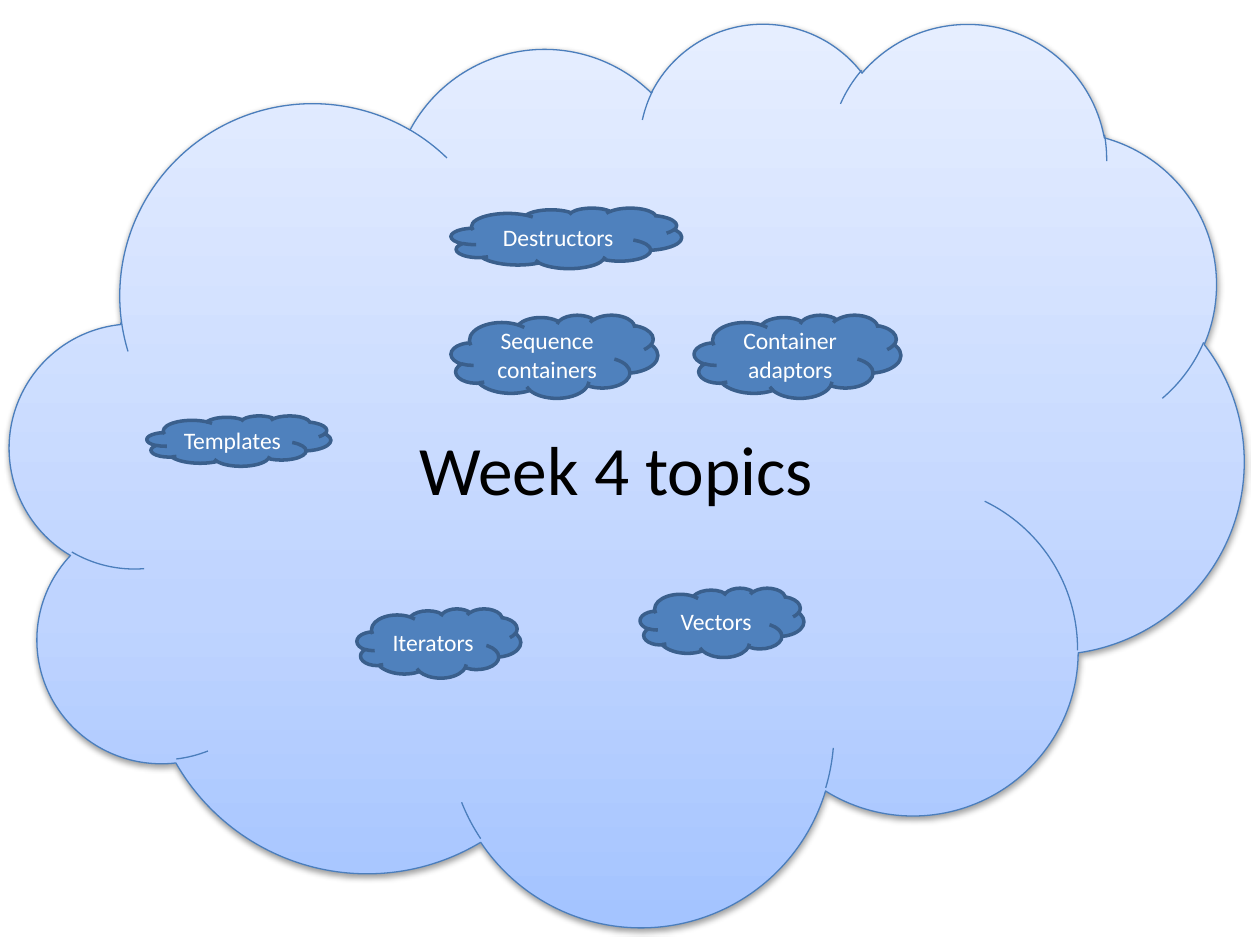
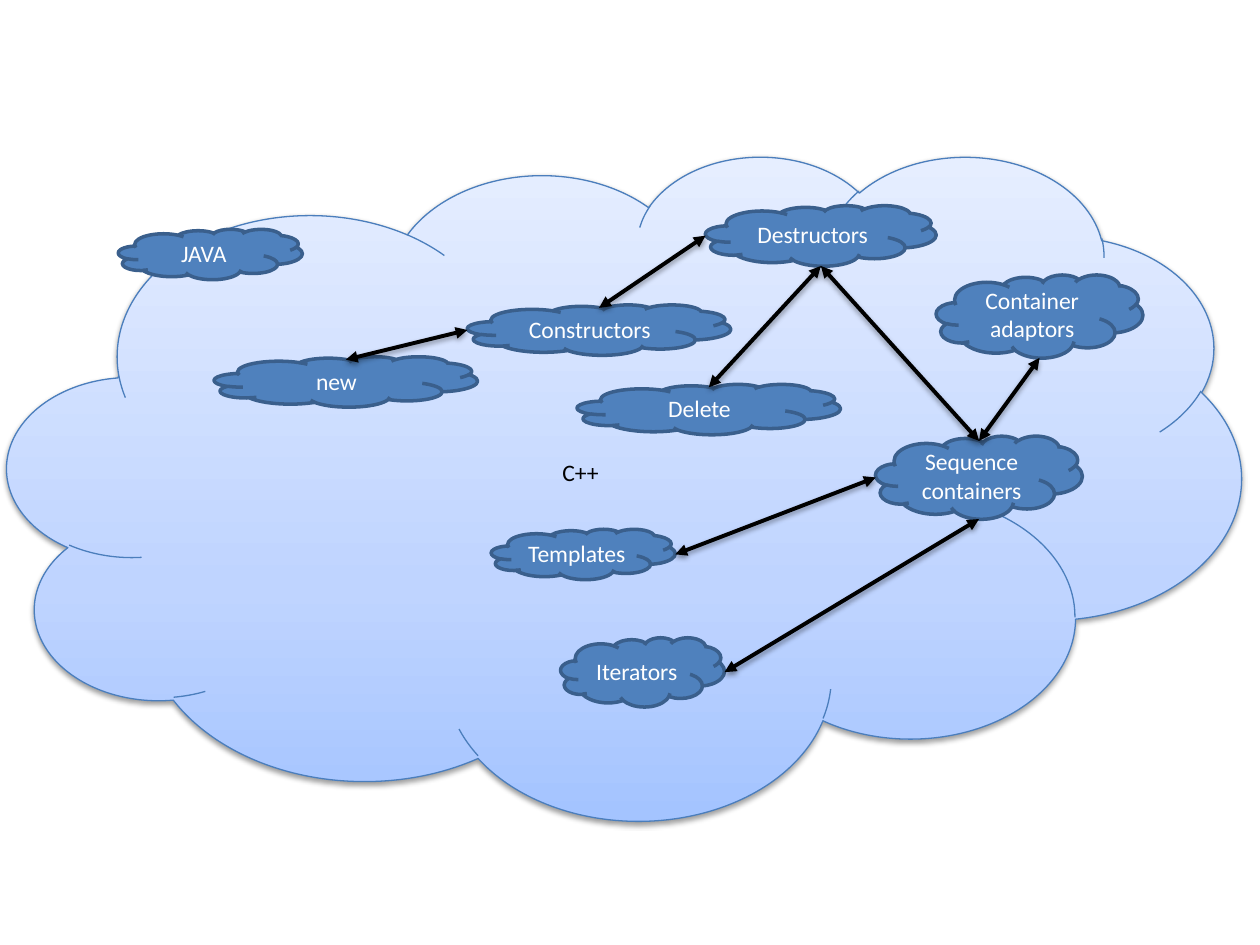
"""Build two C++ topic maps: the week's topics and the links between them."""
from copy import deepcopy

from lxml.etree import SubElement
from pptx import Presentation
from pptx.dml.color import RGBColor
from pptx.enum.shapes import MSO_CONNECTOR, MSO_SHAPE
from pptx.enum.text import MSO_ANCHOR, PP_ALIGN
from pptx.oxml.ns import qn
from pptx.util import Pt

FONT = "Calibri"
WHITE, BLACK = "FFFFFF", "000000"
TOPIC_FILL, TOPIC_EDGE, SKY_EDGE = "4F81BD", "3A5F8C", "4B7EBC"
SKY_STOPS = [(0, "A4C4FF"), (0.35, "BFD4FF"), (1, "E6EEFF")]

TOPIC_SIZES = {
    "Destructors": (131.8, 34.6),
    "Sequence containers": (118.1, 47.5),
    "Container\nadaptors": (118.1, 47.5),
    "Templates": (105.1, 28.8),
    "JAVA": (105.1, 28.8),
    "Iterators": (93.6, 39.6),
    "Vectors": (93.6, 39.6),
    "Constructors": (150.5, 28.8),
    "Delete": (150.5, 28.8),
    "new": (150.5, 28.8),
}
SIDES = {"left": (0, 0.5), "right": (1, 0.5), "top": (0.5, 0.06), "bottom": (0.5, 1)}

SLIDES = [
    {
        "sky": (5.8, 12.2, 704.9, 516.2),
        "theme": "",
        "title": "Week 4 topics",
        "topics": {
            "Destructors": (257.8, 118.8),
            "Sequence containers": (257.8, 180),
            "Templates": (84, 237.6),
            "Iterators": (204, 347.8),
            "Container\nadaptors": (396.7, 180),
            "Vectors": (365.8, 336),
        },
        "links": [],
    },
    {
        "sky": (4.3, 88.6, 704.9, 379.4),
        "theme": "C++",
        "title": "",
        "topics": {
            "Destructors": (403.2, 117.4),
            "Sequence containers": (500.4, 249.1),
            "Templates": (280.8, 302.4),
            "Iterators": (320.4, 364.3),
            "JAVA": (67.7, 131),
            "Constructors": (267.1, 174.2),
            "Delete": (329.8, 219.6),
            "new": (122.4, 203.8),
            "Container\nadaptors": (535, 157),
        },
        "links": [
            ("Templates", "right", "Sequence containers", "left"),
            ("Destructors", "bottom", "Sequence containers", "top"),
            ("Sequence containers", "bottom", "Iterators", "right"),
            ("Destructors", "left", "Constructors", "top"),
            ("Destructors", "bottom", "Delete", "top"),
            ("Constructors", "left", "new", "top"),
            ("Container\nadaptors", "bottom", "Sequence containers", "top"),
        ],
    },
]


def write(shape, text, size=13.5, color=WHITE):
    """Set centred text in a shape."""
    frame = shape.text_frame
    frame.text = text
    frame.word_wrap = True
    frame.vertical_anchor = MSO_ANCHOR.MIDDLE
    frame.margin_left = frame.margin_right = Pt(5.4)
    frame.margin_top = frame.margin_bottom = Pt(2.7)
    for paragraph in frame.paragraphs:
        paragraph.alignment = PP_ALIGN.CENTER
        paragraph.font.name = FONT
        paragraph.font.size = Pt(size)
        paragraph.font.color.rgb = RGBColor.from_string(color)


def cast_shadow(shape):
    """Give a shape a soft shadow straight below it."""
    effects = SubElement(shape._element.spPr, qn("a:effectLst"))
    shadow = SubElement(effects, qn("a:outerShdw"), blurRad=str(Pt(3.1)), dist=str(Pt(1.6)),
                        dir="5400000", rotWithShape="0")
    shade = SubElement(shadow, qn("a:srgbClr"), val=BLACK)
    SubElement(shade, qn("a:alpha"), val="38000")


deck = Presentation()
deck.slide_width, deck.slide_height = Pt(720), Pt(540)

for content in SLIDES:
    slide = deck.slides.add_slide(deck.slide_layouts[6])

    sky = slide.shapes.add_shape(MSO_SHAPE.CLOUD, *map(Pt, content["sky"]))
    sky.fill.gradient()
    sky.fill.gradient_angle = 90
    stop_list = sky._element.spPr.find(qn("a:gradFill")).find(qn("a:gsLst"))
    stop_list.insert(1, deepcopy(stop_list[0]))
    for stop, (position, color) in zip(sky.fill.gradient_stops, SKY_STOPS):
        stop.position = position
        stop.color.rgb = RGBColor.from_string(color)
    sky.line.color.rgb = RGBColor.from_string(SKY_EDGE)
    sky.line.width = Pt(0.75)
    cast_shadow(sky)
    if content["theme"]:
        write(sky, content["theme"], color=BLACK)

    for topic, corner in content["topics"].items():
        cloud = slide.shapes.add_shape(MSO_SHAPE.CLOUD, *map(Pt, corner + TOPIC_SIZES[topic]))
        cloud.shadow.inherit = False
        cloud.fill.solid()
        cloud.fill.fore_color.rgb = RGBColor.from_string(TOPIC_FILL)
        cloud.line.color.rgb = RGBColor.from_string(TOPIC_EDGE)
        cloud.line.width = Pt(2)
        write(cloud, topic)

    for start, start_side, end, end_side in content["links"]:
        ends = []
        for topic, side in ((start, start_side), (end, end_side)):
            for origin, extent, share in zip(content["topics"][topic], TOPIC_SIZES[topic], SIDES[side]):
                ends.append(Pt(origin + extent * share))
        link = slide.shapes.add_connector(MSO_CONNECTOR.STRAIGHT, *ends)
        link.line.color.rgb = RGBColor.from_string(BLACK)
        link.line.width = Pt(2.25)
        for arrowhead in ("a:headEnd", "a:tailEnd"):
            SubElement(link._element.spPr.find(qn("a:ln")), qn(arrowhead), type="triangle")
        cast_shadow(link)

    if content["title"]:
        title = slide.shapes.add_textbox(Pt(187.2), Pt(241.2), Pt(329.8), Pt(52.6))
        write(title, content["title"], size=39.6, color=BLACK)

deck.save("out.pptx")
